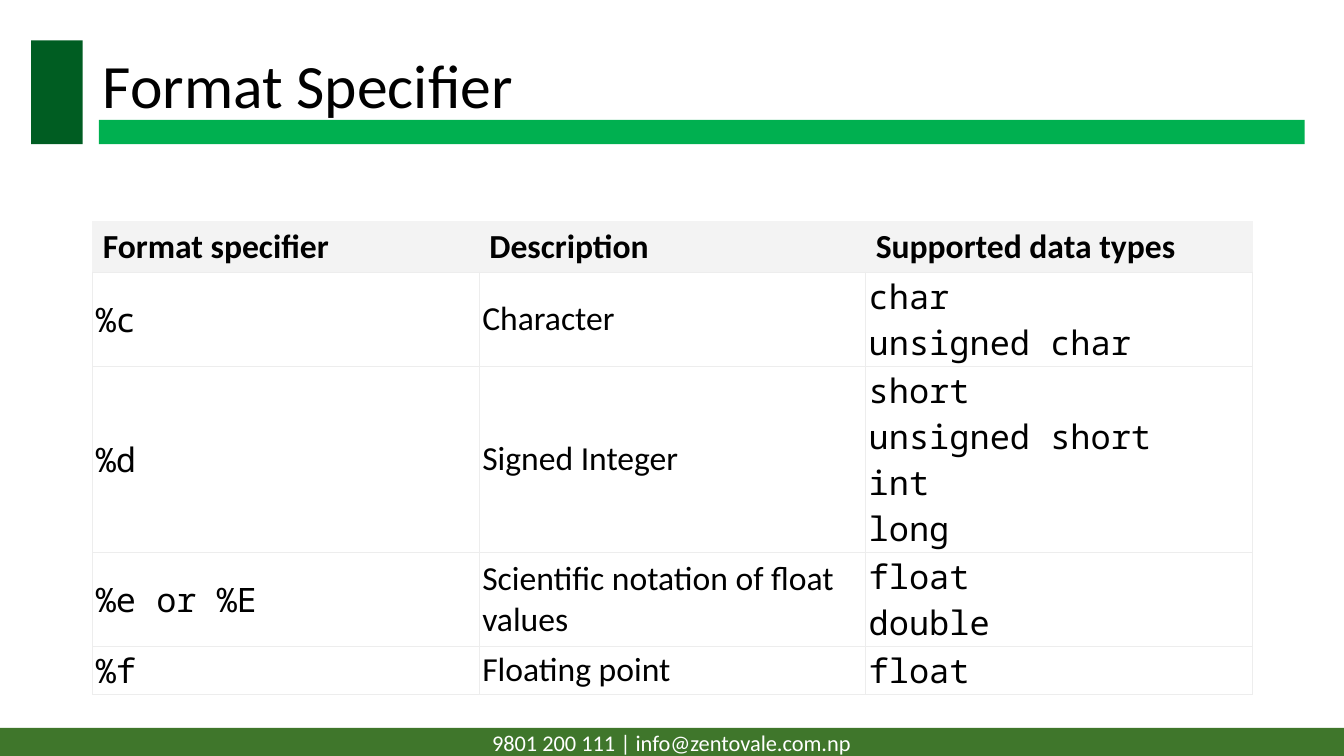
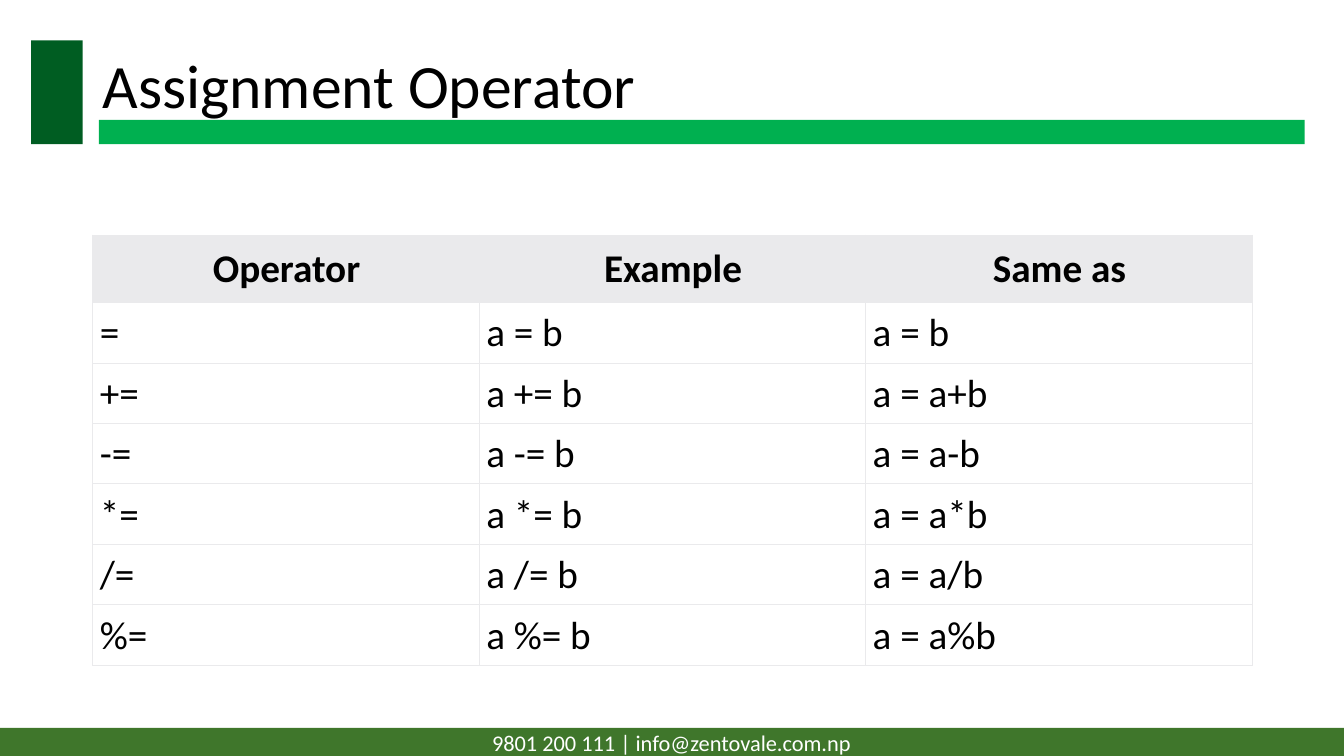
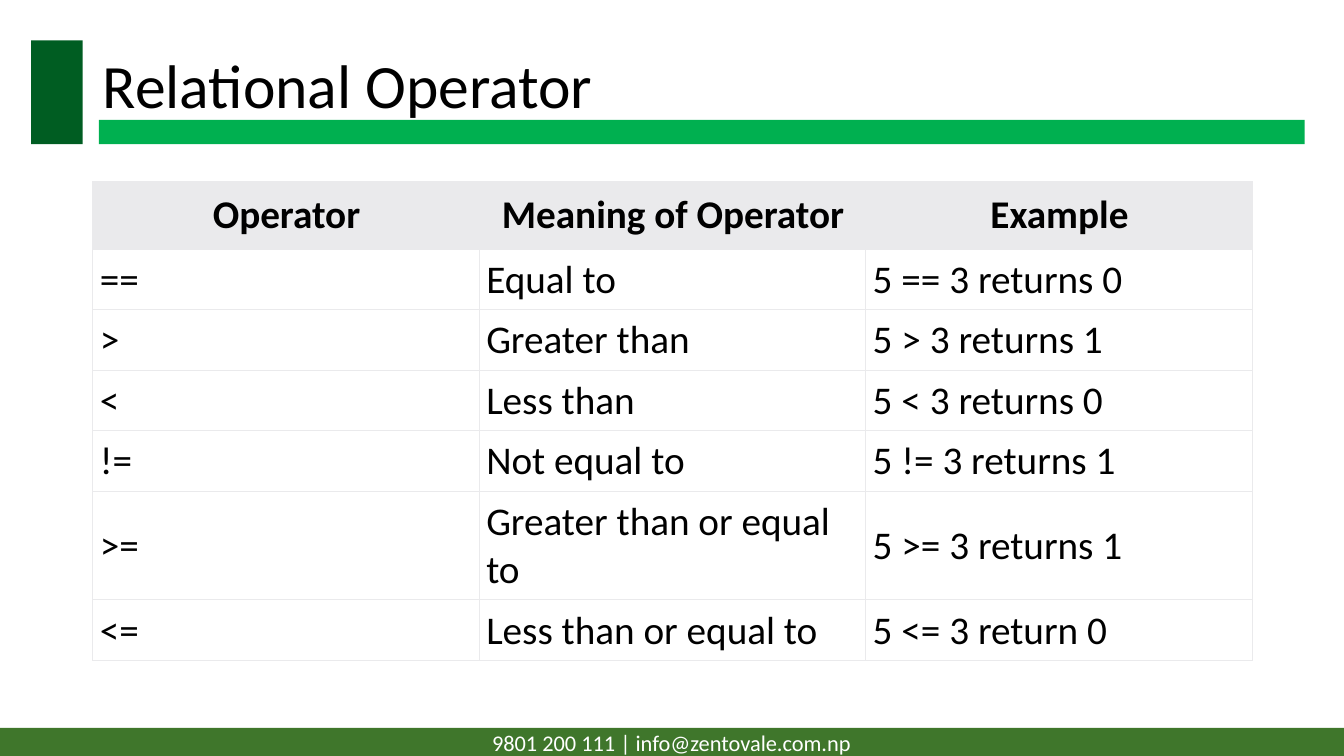
from dataclasses import dataclass

from lxml.etree import SubElement
from pptx import Presentation
from pptx.dml.color import RGBColor as RGB
from pptx.enum.shapes import MSO_SHAPE as SHAPE
from pptx.enum.text import MSO_ANCHOR as ANCHOR, PP_ALIGN as ALIGN
from pptx.oxml.ns import qn
from pptx.util import Inches, Pt


@dataclass(frozen=True)
class Theme:
    font: str = "Calibri"
    mono: str = "Noto Sans Mono"
    ink: str = "000000"
    paper: str = "FFFFFF"
    rule: str = "00B050"
    block: str = "005D22"
    footer: str = "3F762B"
    title_size: int = 44
    footer_size: int = 16
    border: float = 0.5


@dataclass(frozen=True)
class TableStyle:
    size: int
    header_fill: str
    line: str
    header_align: ALIGN
    header_insets: tuple
    body_insets: tuple
    mono_columns: tuple = ()


THEME = Theme()
SPECIFIER_STYLE = TableStyle(24, "F3F3F3", "EDEDED", ALIGN.LEFT,
                             (0.1, 0.05, 0.1, 0.05), (0.03, 0.01, 0.07, 0.01), (0, 2))
OPERATOR_STYLE = TableStyle(28, "EAEAEC", "EAEAEC", ALIGN.CENTER,
                            (0.07, 0.1, 0.06, 0.1), (0.07, 0.07, 0.06, 0.06))

SPECIFIERS = [
    ("Format specifier", "Description", "Supported data types"),
    ("%c", "Character", "char\vunsigned char"),
    ("%d", "Signed Integer", "short\vunsigned short\vint\vlong"),
    ("%e or %E", "Scientific notation of float values", "float\vdouble"),
    ("%f", "Floating point", "float"),
]
ASSIGNMENTS = [("Operator", "Example", "Same as"), ("=", "a = b", "a = b")] + [
    (f"{op}=", f"a {op}= b", f"a = a{op}b") for op in "+-*/%"
]
RELATIONS = [
    ("Operator", "Meaning of Operator", "Example"),
    ("==", "Equal to", "5 == 3 returns 0"),
    (">", "Greater than", "5 > 3 returns 1"),
    ("<", "Less than", "5 < 3 returns 0"),
    ("!=", "Not equal to", "5 != 3 returns 1"),
    (">=", "Greater than or equal to", "5 >= 3 returns 1"),
    ("<=", "Less than or equal to", "5 <= 3 return 0"),
]


def style_text(p, size, color, font=THEME.font, bold=False, align=ALIGN.LEFT):
    p.alignment = align
    p.font.name = font
    p.font.size = Pt(size)
    p.font.bold = bold
    p.font.color.rgb = RGB.from_string(color)


def add_band(slide, left, top, width, height, color):
    sp = slide.shapes.add_shape(SHAPE.RECTANGLE, Inches(left), Inches(top),
                                Inches(width), Inches(height))
    sp.shadow.inherit = False
    sp.fill.solid()
    sp.fill.fore_color.rgb = RGB.from_string(color)
    sp.line.fill.background()
    return sp


def add_title(slide, title):
    tf = slide.shapes.add_textbox(Inches(0.92), Inches(0.15),
                                  Inches(11.5), Inches(1.45)).text_frame
    tf.word_wrap = True
    tf.vertical_anchor = ANCHOR.MIDDLE
    p = tf.paragraphs[0]
    p.text = title
    p.line_spacing = 0.9
    style_text(p, THEME.title_size, THEME.ink)


def add_base_slide(prs, title):
    slide = prs.slides.add_slide(prs.slide_layouts[6])
    add_band(slide, 0.98, 1.19, 11.96, 0.24, THEME.rule)
    add_band(slide, 0.31, 0.4, 0.51, 1.03, THEME.block)
    tf = add_band(slide, -0.01, 7.22, 13.34, 0.29, THEME.footer).text_frame
    tf.vertical_anchor = ANCHOR.MIDDLE
    p = tf.paragraphs[0]
    p.text = "9801 200 111 | info@zentovale.com.np"
    style_text(p, THEME.footer_size, THEME.paper, align=ALIGN.CENTER)
    add_title(slide, title)
    return slide


def set_borders(cell, side_color, bottom_color):
    tc_pr = cell._tc.get_or_add_tcPr()
    for i, edge in enumerate("LRTB"):
        ln = SubElement(tc_pr, qn(f"a:ln{edge}"), w=str(Pt(THEME.border)))
        fill = SubElement(ln, qn("a:solidFill"))
        SubElement(fill, qn("a:srgbClr"), val=bottom_color if edge == "B" else side_color)
        tc_pr.insert(i, ln)


def fill_cell(cell, text, style, header, mono):
    insets = style.header_insets if header else style.body_insets
    (cell.margin_left, cell.margin_top,
     cell.margin_right, cell.margin_bottom) = map(Inches, insets)
    cell.vertical_anchor = ANCHOR.MIDDLE
    cell.fill.solid()
    cell.fill.fore_color.rgb = RGB.from_string(style.header_fill if header else THEME.paper)
    set_borders(cell, style.header_fill if header else style.line, style.line)
    p = cell.text_frame.paragraphs[0]
    p.text = text
    style_text(p, style.size, THEME.ink, THEME.mono if mono else THEME.font, header,
               style.header_align if header else ALIGN.LEFT)


def add_grid(slide, top, rows, heights, style):
    frame = slide.shapes.add_table(len(rows), len(rows[0]), Inches(0.92), Inches(top),
                                   Inches(11.5), Inches(sum(heights)))
    table = frame.table
    table.first_row = table.horz_banding = False
    for r, (texts, height) in enumerate(zip(rows, heights)):
        table.rows[r].height = Inches(height)
        for c, text in enumerate(texts):
            header = r == 0
            mono = not header and c in style.mono_columns
            fill_cell(table.cell(r, c), text, style, header, mono)


def main():
    prs = Presentation()
    prs.slide_width, prs.slide_height = Inches(13.33), Inches(7.5)
    add_grid(add_base_slide(prs, "Format Specifier"), 2.2, SPECIFIERS,
             [0.5, 0.93, 1.85, 0.93, 0.48], SPECIFIER_STYLE)
    add_grid(add_base_slide(prs, "Assignment Operator"), 2.33, ASSIGNMENTS,
             [0.67] + [0.6] * 6, OPERATOR_STYLE)
    add_grid(add_base_slide(prs, "Relational Operator"), 1.8, RELATIONS,
             [0.67] + [0.6] * 4 + [1.08, 0.6], OPERATOR_STYLE)
    prs.save("out.pptx")


main()
